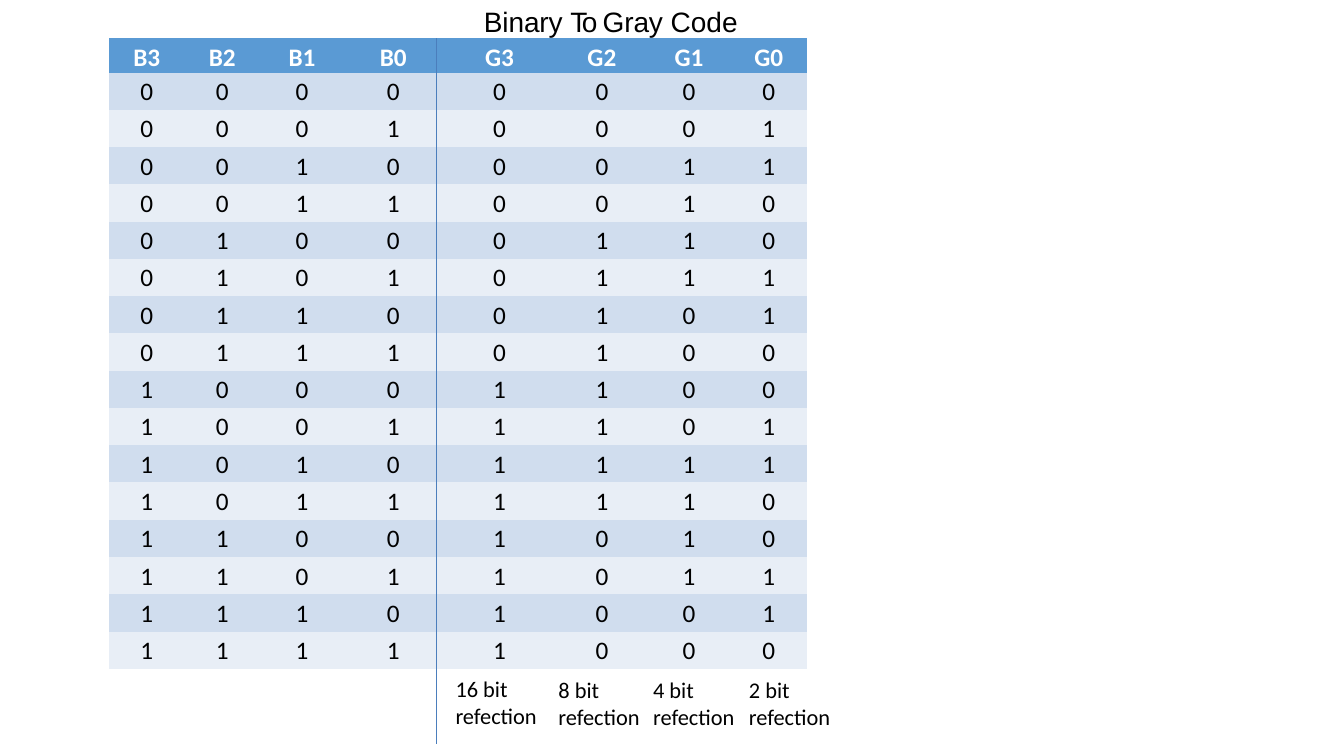
from dataclasses import dataclass

from lxml import etree
from pptx import Presentation
from pptx import util as u
from pptx.dml.color import RGBColor
from pptx.enum import shapes, text
from pptx.oxml import ns

HEADER, ODD, EVEN = "5A9AD4", "D0DDEE", "E8EEF6"
BLACK, WHITE, DIVIDER = "000000", "FFFFFF", "4B7EBC"
NO_GRID = "{2D5ABB26-0587-4C30-8999-92F81FD0307C}"
BITS = 4
LEFT, TOP = 1.08, 0.38
COLUMNS = [0.75, 0.75, 0.83, 0.98, 1.13, 0.9, 0.83, 0.75]
HEADER_HEIGHT, ROW_HEIGHT = 0.31, 0.37


@dataclass
class Label:
    text: str
    x: float
    y: float
    w: float


LABELS = [
    Label("16 bit refection", 4.42, 6.65, 1.33),
    Label("8 bit refection", 5.44, 6.66, 1.09),
    Label("4 bit refection", 6.38, 6.66, 1.33),
    Label("2 bit refection", 7.33, 6.66, 1.33),
]


def rgb(value: str) -> RGBColor:
    return RGBColor.from_string(value)


def add_run(p, content: str, *, size: float = 18, font: str = "Calibri",
            color: str = BLACK, bold: bool = False, spacing: float = 0) -> None:
    r = p.add_run()
    r.text = content
    r.font.size, r.font.name, r.font.bold = u.Pt(size), font, bold
    r.font.color.rgb = rgb(color)
    if spacing:
        r.font._element.set("spc", str(round(spacing * 100)))


def add_box(s, x: float, y: float, w: float, h: float):
    tf = s.shapes.add_textbox(*map(u.Inches, (x, y, w, h))).text_frame
    tf.word_wrap = True
    return tf


def add_title(s) -> None:
    tf = add_box(s, 4.8, 0.03, 4.7, 0.35)
    tf.margin_left = tf.margin_right = tf.margin_bottom = 0
    tf.margin_top = u.Inches(0.01)
    p = tf.paragraphs[0]
    p.space_before = u.Pt(1)
    for word, spacing in [("Binary ", -0.1), ("To ", -1.8), ("Gray ", -0.1), ("Code", 0)]:
        add_run(p, word, size=20, font="Arial", spacing=spacing)


def fill_cell(cell, content: str, fill: str, **style) -> None:
    cell.fill.solid()
    cell.fill.fore_color.rgb = rgb(fill)
    cell.margin_left = cell.margin_right = cell.margin_bottom = 0
    cell.margin_top = u.Inches(0.04)
    p = cell.text_frame.paragraphs[0]
    p.alignment = text.PP_ALIGN.CENTER
    p.space_before = u.Pt(2.8)
    add_run(p, content, **style)


def add_code_table(s) -> None:
    count = 2 ** BITS
    height = HEADER_HEIGHT + count * ROW_HEIGHT
    bounds = map(u.Inches, (LEFT, TOP, sum(COLUMNS), height))
    table = s.shapes.add_table(count + 1, len(COLUMNS), *bounds).table
    table.first_row = table.horz_banding = False
    table._tbl.tblPr.find(ns.qn("a:tableStyleId")).text = NO_GRID
    for column, width in zip(table.columns, COLUMNS):
        column.width = u.Inches(width)
    for i, row in enumerate(table.rows):
        row.height = u.Inches(ROW_HEIGHT if i else HEADER_HEIGHT)

    names = [f"{code}{bit}" for code in "BG" for bit in reversed(range(BITS))]
    for col, name in enumerate(names):
        fill_cell(table.cell(0, col), name, HEADER, color=WHITE, bold=True)
    for n in range(count):
        gray = n ^ (n >> 1)
        for col, digit in enumerate(f"{n:0{BITS}b}{gray:0{BITS}b}"):
            fill_cell(table.cell(n + 1, col), digit, EVEN if n % 2 else ODD)


def add_divider(s) -> None:
    ends = map(u.Inches, (4.33, TOP, 4.33, 7.38))
    line = s.shapes.add_connector(shapes.MSO_CONNECTOR.STRAIGHT, *ends)
    line.line.color.rgb = rgb(DIVIDER)
    line.line.width = u.Pt(0.75)
    etree.SubElement(line._element.spPr, ns.qn("a:effectLst"))


def add_label(s, label: Label) -> None:
    tf = add_box(s, label.x, label.y, label.w, 0.64)
    add_run(tf.paragraphs[0], label.text, size=16)


prs = Presentation()
prs.slide_width, prs.slide_height = u.Inches(13.33), u.Inches(7.5)
s = prs.slides.add_slide(prs.slide_layouts[6])
add_title(s)
add_code_table(s)
add_divider(s)
for label in LABELS:
    add_label(s, label)
prs.save("out.pptx")
